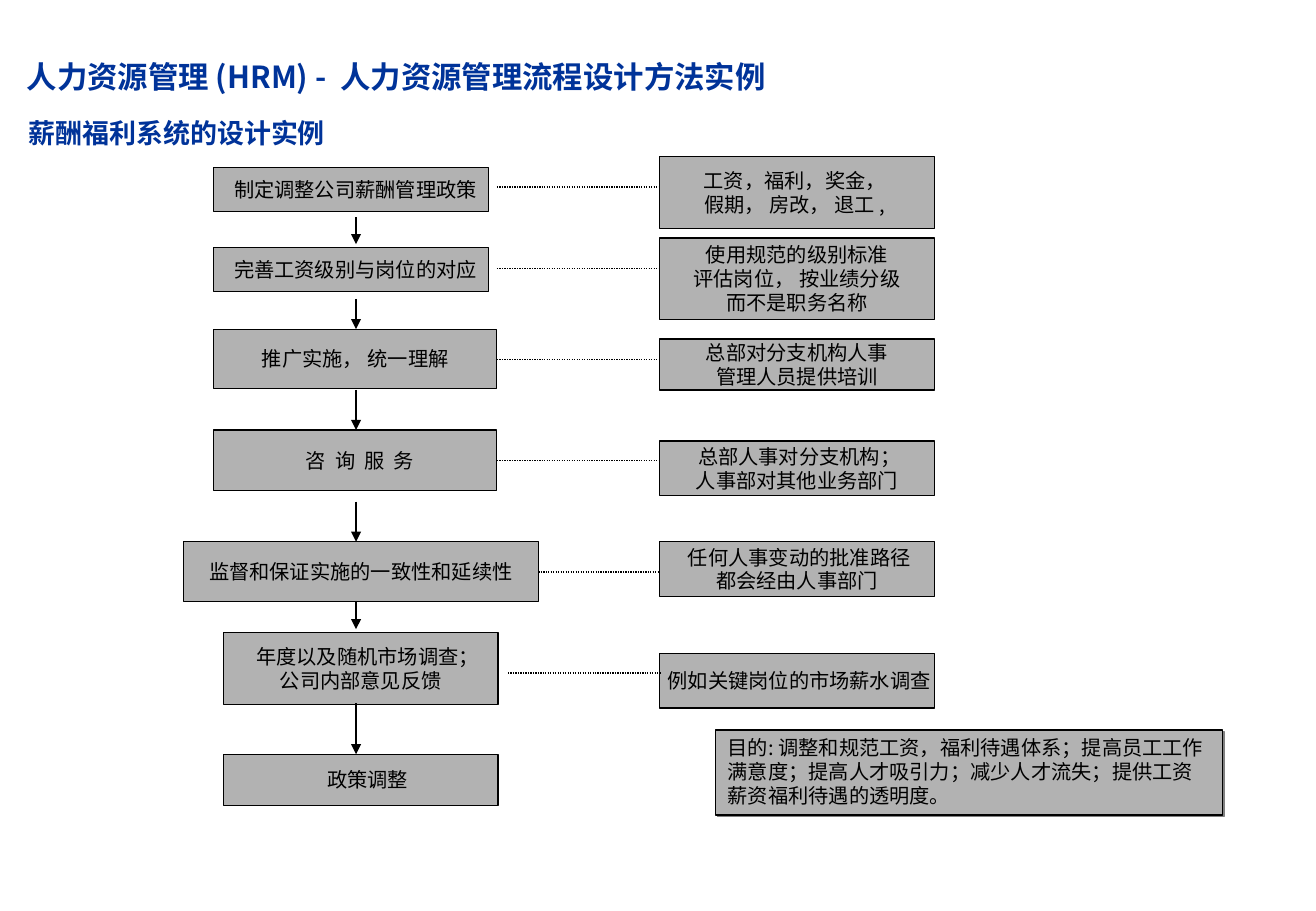
import pptx
import pptx.dml.color
import pptx.enum.dml
import pptx.enum.shapes
import pptx.enum.text
import pptx.oxml.ns
import pptx.util
from lxml import etree
from pptx.util import Inches

COLORS = {"heading": "003399", "box": "B2B2B2", "ink": "000000", "shadow": "808080"}
FONT = "Noto Sans CJK SC"
ALIGN = pptx.enum.text.PP_ALIGN
ANCHOR = pptx.enum.text.MSO_ANCHOR
SPACE_WIDTH = 0.0373  # one space at 12 pt, in inches

# left, top, width, height, lines, spaces of indent, letter spacing in points
STEPS = [
    (0.25, 0.09, 2.26, 0.36, ["制定调整公司薪酬管理政策"], 2, 0),
    (0.25, 0.75, 2.26, 0.36, ["完善工资级别与岗位的对应"], 2, 0),
    (0.25, 1.42, 2.33, 0.49, ["推广实施， 统一理解"], 0, 0),
    (0.25, 2.25, 2.33, 0.5, ["咨 询 服 务"], 2, 1.35),
    (0, 3.17, 2.92, 0.49, ["监督和保证实施的一致性和延续性"], 0, 0),
    (0.33, 3.92, 2.26, 0.59, ["年度以及随机市场调查；", "公司内部意见反馈"], 3, 0),
    (0.33, 4.92, 2.26, 0.42, ["政策调整"], 3, 0),
]
ARROW_SPANS = [(0.5, 0.72), (1.17, 1.42), (1.92, 2.25), (2.84, 3.17), (3.67, 3.89), (4.5, 4.92)]

# top, height, lines
DETAILS = [
    (0, 0.59, ["工资，福利，奖金， ", "假期， 房改， 退工 , "]),
    (0.67, 0.67, ["使用规范的级别标准", "评估岗位， 按业绩分级", "而不是职务名称"]),
    (1.5, 0.42, ["总部对分支机构人事", "管理人员提供培训"]),
    (2.34, 0.45, [" 总部人事对分支机构；", "人事部对其他业务部门"]),
    (3.17, 0.45, [" 任何人事变动的批准路径", "都会经由人事部门"]),
    (4.09, 0.45, [" 例如关键岗位的市场薪水调查"]),
]
# start and height of each dotted link
LINKS = [(0, 0.25), (0, 0.92), (0, 1.67), (0, 2.5), (0.34, 3.42), (0.09, 4.25)]


def rgb(name):
    """Look up a palette colour."""
    return pptx.dml.color.RGBColor.from_string(COLORS[name])


def style_font(font, size, color="ink", name=FONT, bold=False):
    """Set face, size, weight and colour."""
    font.name, font.size, font.bold = name, pptx.util.Pt(size), bold
    font.color.rgb = rgb(color)


def space_letters(run, points):
    """Widen the letter spacing of a run."""
    run.font._element.set("spc", str(round(points * 100)))


def add_line(slide, start, end, dotted=False):
    """Draw a thin dotted link, or a solid arrow."""
    line = slide.shapes.add_connector(
        pptx.enum.shapes.MSO_CONNECTOR.STRAIGHT, *map(Inches, start + end))
    line.line.color.rgb = rgb("ink")
    line.line.width = pptx.util.Pt(0.74)
    if dotted:
        line.line.dash_style = pptx.enum.dml.MSO_LINE.ROUND_DOT
    else:
        etree.SubElement(line.line._get_or_add_ln(), pptx.oxml.ns.qn("a:tailEnd"), type="triangle")
    etree.SubElement(line._element.spPr, pptx.oxml.ns.qn("a:effectLst"))


def add_box(slide, box, lines, indent=0, spacing=0, wrap=False, align=ALIGN.CENTER):
    """Draw a grey box with one paragraph per line."""
    panel = slide.shapes.add_shape(pptx.enum.shapes.MSO_SHAPE.RECTANGLE, *map(Inches, box))
    panel.shadow.inherit = False
    panel.fill.solid()
    panel.fill.fore_color.rgb = rgb("box")
    panel.line.color.rgb = rgb("ink")
    panel.line.width = pptx.util.Pt(0.74)
    frame = panel.text_frame
    frame.word_wrap = wrap
    frame.vertical_anchor = ANCHOR.MIDDLE
    for index, text in enumerate(lines):
        paragraph = frame.add_paragraph() if index else frame.paragraphs[0]
        run = paragraph.add_run()
        run.text = text
        paragraph.alignment = align
        paragraph.line_spacing = pptx.util.Pt(14.2)
        style_font(paragraph.font, 12)
        if spacing:
            space_letters(run, spacing)
        if indent and index == 0:
            margin = Inches(indent * SPACE_WIDTH)
            paragraph._p.get_or_add_pPr().set("marL", str(margin))
    return panel


def add_heading(slide, box, parts, size, name, anchor, insets):
    """Write a bold blue heading from (text, letter spacing) parts."""
    frame = slide.shapes.add_textbox(*map(Inches, box)).text_frame
    frame.word_wrap = True
    frame.vertical_anchor = anchor
    frame.margin_left = frame.margin_right = Inches(insets[0])
    frame.margin_top = frame.margin_bottom = Inches(insets[1])
    paragraph = frame.paragraphs[0]
    style_font(paragraph.font, size, "heading", name, True)
    for text, spacing in parts:
        run = paragraph.add_run()
        run.text = text
        if spacing:
            space_letters(run, spacing)


def add_steps(slide, left, top):
    """Place the process steps and the arrows between them."""
    for x, y, width, height, lines, indent, spacing in STEPS:
        add_box(slide, (left + x, top + y, width, height), lines, indent, spacing)
    middle = left + 1.42
    for start, end in ARROW_SPANS:
        add_line(slide, (middle, top + start), (middle, top + end))


def add_details(slide, left, top, link_left):
    """Place the explanations and their dotted links to the steps."""
    for y, height, lines in DETAILS:
        add_box(slide, (left, top + y, 2.26, height), lines)
    for x, y in LINKS:
        add_line(slide, (link_left + x, top + y), (left, top + y), dotted=True)


def add_purpose(slide, box):
    """Place the purpose note with its hard shadow."""
    purpose = add_box(slide, box, [
        "目的: 调整和规范工资，福利待遇体系；提高员工工作满意度；提高人才吸引力；"
        "减少人才流失；提供工资薪资福利待遇的透明度。"], wrap=True, align=ALIGN.LEFT)
    paragraph = purpose.text_frame.paragraphs[0]
    purpose.text_frame.vertical_anchor = ANCHOR.TOP
    paragraph.space_before, paragraph.space_after = pptx.util.Pt(6), pptx.util.Pt(3)
    effects = purpose._element.spPr.find(pptx.oxml.ns.qn("a:effectLst"))
    shadow = etree.SubElement(effects, pptx.oxml.ns.qn("a:outerShdw"),
                              dist=str(pptx.util.Pt(1.4)), dir="2700000", algn="ctr")
    etree.SubElement(shadow, pptx.oxml.ns.qn("a:srgbClr"), val=COLORS["shadow"])


def build_slide(slide):
    """Compose the compensation and benefits process slide."""
    add_heading(slide, (0.22, 0.18, 9.71, 0.6),
                [("人力资源管理 (HRM) -", 0), (" ", 4), ("人力资源管理流程设计方法实例", 0)],
                18, FONT, ANCHOR.BOTTOM, (0, 0))
    add_heading(slide, (0.14, 0.76, 4.54, 0.67), [("薪酬福利系统的设计实例", 0)],
                16, "Arial", ANCHOR.MIDDLE, (0.1, 0.05))
    add_steps(slide, 1.51, 1.29)
    add_details(slide, 5.43, 1.29, 4.09)
    add_purpose(slide, (5.89, 6.01, 4.17, 0.7))


presentation = pptx.Presentation()
presentation.slide_width, presentation.slide_height = Inches(10.83), Inches(7.5)
build_slide(presentation.slides.add_slide(presentation.slide_layouts[6]))
presentation.save("out.pptx")
